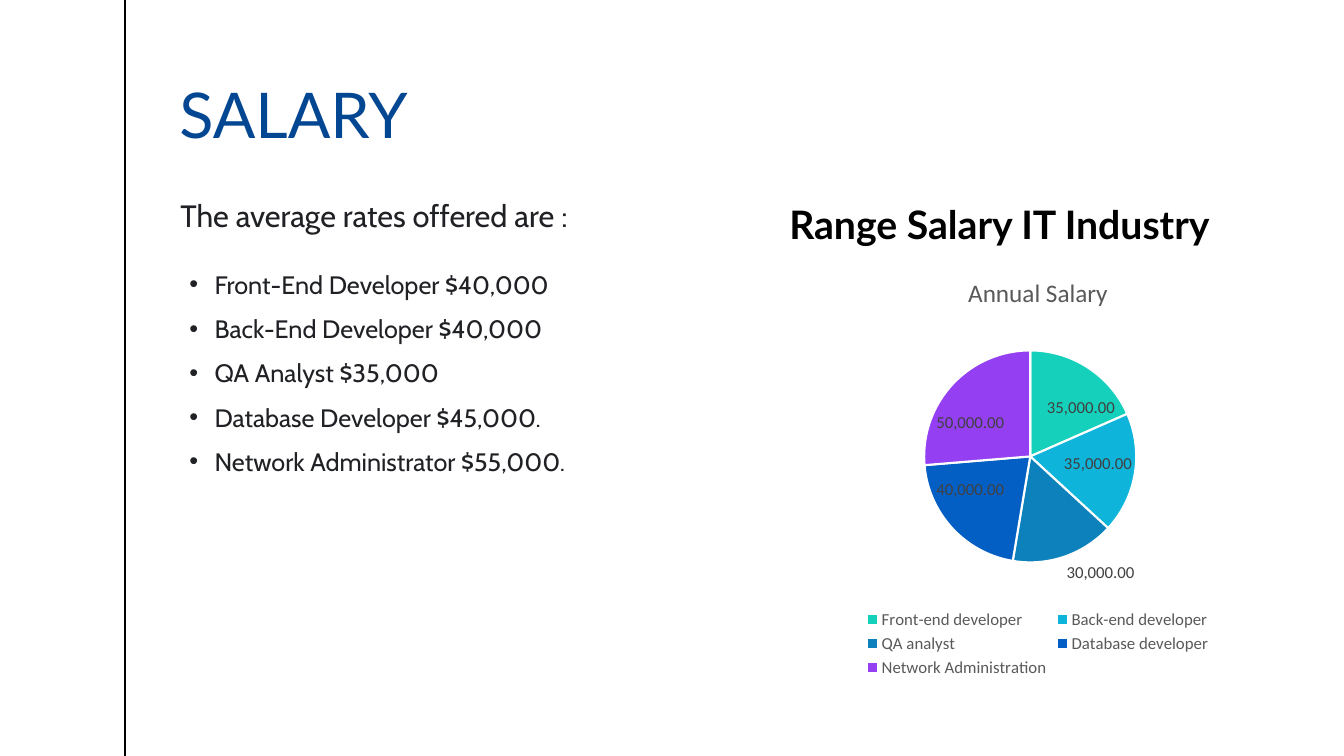
from dataclasses import dataclass

from lxml.etree import SubElement
from pptx import Presentation
from pptx.chart.chart import Chart
from pptx.chart.data import CategoryChartData
from pptx.dml.color import RGBColor
from pptx.enum.chart import XL_CHART_TYPE, XL_LABEL_POSITION, XL_LEGEND_POSITION
from pptx.enum.shapes import MSO_CONNECTOR
from pptx.enum.text import MSO_ANCHOR, MSO_AUTO_SIZE, PP_ALIGN
from pptx.oxml import parse_xml
from pptx.oxml.ns import nsdecls, qn
from pptx.slide import Slide
from pptx.text.text import Font, TextFrame
from pptx.util import Inches, Pt


@dataclass
class Box:
    left: float
    top: float
    width: float
    height: float

    def lengths(self) -> tuple:
        return tuple(Inches(v) for v in (self.left, self.top, self.width, self.height))


@dataclass
class Style:
    face: str
    size: float
    color: str
    bold: bool = False


@dataclass
class Heading:
    text: str
    box: Box
    style: Style


@dataclass
class Salary:
    role: str
    amount: int
    color: str


INK = "202124"
TITLE = Heading("SALARY", Box(1.78, 0.46, 11.08, 1.1), Style("Lato", 45, "034793"))
HEADINGS = [
    Heading("The average rates offered are :", Box(1.69, 1.47, 5.11, 0.9), Style("Cabin", 22, INK)),
    Heading("Range Salary IT Industry", Box(7.73, 1.61, 5.13, 0.9),
            Style("Lato", 28, "000000", True)),
]
RATES = [
    "Front-End Developer $40,000",
    "Back-End Developer $40,000",
    "QA Analyst $35,000",
    "Database Developer $45,000.",
    "Network Administrator $55,000.",
]
RATES_BOX = Box(1.78, 2.62, 5.44, 4.21)
RATES_STYLE = Style("Cabin", 18, INK)
SALARIES = [
    Salary("Front-end developer", 35000, "15D1BB"),
    Salary("Back-end developer", 35000, "0FB4DB"),
    Salary("QA analyst", 30000, "0D81BB"),
    Salary("Database developer", 40000, "045FC4"),
    Salary("Network Administration", 50000, "953FF3"),
]
CHART_BOX = Box(7.73, 2.55, 5.13, 4.21)
PIE_AREA = {"x": 0.28, "y": 0.22, "w": 0.41, "h": 0.5}


def rgb(color: str) -> RGBColor:
    return RGBColor.from_string(color)


def apply_style(font: Font, style: Style) -> None:
    font.name = style.face
    font.size = Pt(style.size)
    font.bold = style.bold
    font.color.rgb = rgb(style.color)


def write_heading(frame: TextFrame, heading: Heading) -> None:
    frame.word_wrap = True
    frame.auto_size = MSO_AUTO_SIZE.NONE
    frame.vertical_anchor = MSO_ANCHOR.BOTTOM
    paragraph = frame.paragraphs[0]
    paragraph.alignment = PP_ALIGN.LEFT
    paragraph.line_spacing = 0.9
    run = paragraph.add_run()
    run.text = heading.text
    apply_style(run.font, heading.style)


def add_title(slide: Slide) -> None:
    title = slide.shapes.title
    title.left, title.top, title.width, title.height = TITLE.box.lengths()
    title.text_frame.margin_left = title.text_frame.margin_right = 0
    write_heading(title.text_frame, TITLE)


def add_margin_line(slide: Slide) -> None:
    x = Inches(1.24)
    margin = slide.shapes.add_connector(MSO_CONNECTOR.STRAIGHT, x, 0, x, Inches(7.5))
    margin.line.color.rgb = rgb("000000")
    margin.line.width = Pt(1)
    SubElement(margin.element.spPr, qn("a:effectLst"))


def add_rates(slide: Slide) -> None:
    frame = slide.shapes.add_textbox(*RATES_BOX.lengths()).text_frame
    frame.word_wrap = True
    for index, rate in enumerate(RATES):
        paragraph = frame.add_paragraph() if index else frame.paragraphs[0]
        paragraph.space_before = Pt(10)
        run = paragraph.add_run()
        run.text = rate
        apply_style(run.font, RATES_STYLE)
        # Hanging bullet
        properties = paragraph._p.get_or_add_pPr()
        properties.set("marL", str(Inches(0.25)))
        properties.set("indent", str(Inches(-0.25)))
        SubElement(properties, qn("a:buFont"), typeface="Arial")
        SubElement(properties, qn("a:buChar"), char="•")


def place_pie(chart: Chart) -> None:
    plot_area = chart.element.chart.plotArea
    for old_layout in plot_area.findall(qn("c:layout")):
        plot_area.remove(old_layout)
    sizes = "".join(f'<c:{key} val="{value}"/>' for key, value in PIE_AREA.items())
    plot_area.insert(0, parse_xml(
        f'<c:layout {nsdecls("c")}><c:manualLayout><c:layoutTarget val="inner"/>'
        f'<c:xMode val="edge"/><c:yMode val="edge"/>{sizes}</c:manualLayout></c:layout>'))


def add_salary_chart(slide: Slide) -> None:
    data = CategoryChartData(number_format="#,##0.00")
    data.categories = [salary.role for salary in SALARIES]
    data.add_series("Series 1", [salary.amount for salary in SALARIES])
    chart = slide.shapes.add_chart(XL_CHART_TYPE.PIE, *CHART_BOX.lengths(), data).chart
    apply_style(chart.font, Style("Calibri", 10, "000000"))
    place_pie(chart)

    # Title and legend
    chart.has_title = True
    run = chart.chart_title.text_frame.paragraphs[0].add_run()
    run.text = "Annual Salary"
    apply_style(run.font, Style("Calibri", 18, "595959"))
    chart.has_legend = True
    chart.legend.position = XL_LEGEND_POSITION.BOTTOM
    chart.legend.include_in_layout = False
    apply_style(chart.legend.font, Style("Calibri", 12, "595959"))

    # Slices and value labels
    pie = chart.plots[0]
    pie.vary_by_categories = True
    for index, salary in enumerate(SALARIES):
        slice_format = pie.series[0].points[index].format
        slice_format.fill.solid()
        slice_format.fill.fore_color.rgb = rgb(salary.color)
        slice_format.line.color.rgb = rgb("FFFFFF")
        slice_format.line.width = Pt(1.5)
    labels = pie.series[0].data_labels
    labels.show_value = True
    labels.number_format = "#,##0.00"
    labels.number_format_is_linked = False
    labels.position = XL_LABEL_POSITION.BEST_FIT
    apply_style(labels.font, Style("Calibri", 12, "404040"))


def main() -> None:
    deck = Presentation()
    deck.slide_width, deck.slide_height = Inches(13.33), Inches(7.5)
    slide = deck.slides.add_slide(deck.slide_layouts[5])
    add_margin_line(slide)
    add_title(slide)
    add_rates(slide)
    for heading in HEADINGS:
        write_heading(slide.shapes.add_textbox(*heading.box.lengths()).text_frame, heading)
    add_salary_chart(slide)
    deck.save("out.pptx")


if __name__ == "__main__":
    main()
